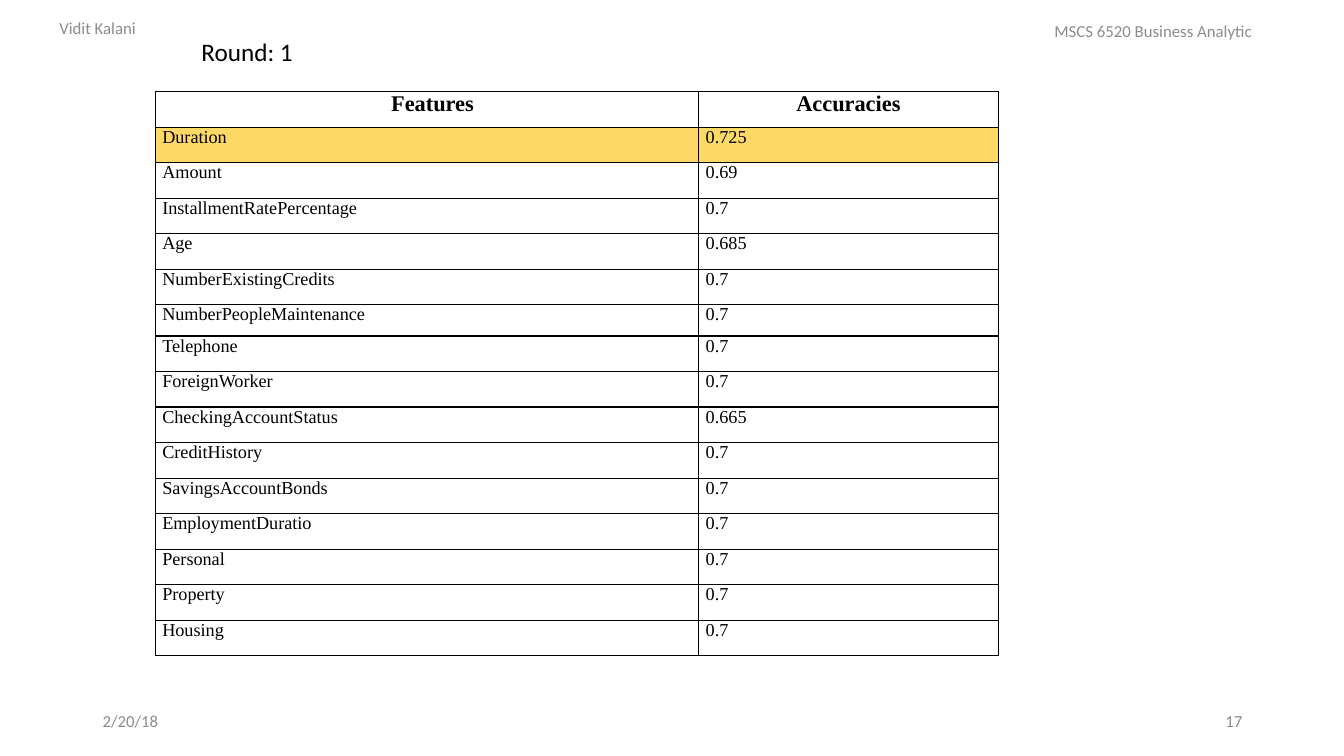
import pptx
import pptx.util
import pptx.dml.color
import pptx.enum.text
import pptx.oxml
import pptx.oxml.ns

Inches = pptx.util.Inches
Pt = pptx.util.Pt
ALIGN = pptx.enum.text.PP_ALIGN
ANCHOR = pptx.enum.text.MSO_ANCHOR
BLACK = pptx.dml.color.RGBColor(0x00, 0x00, 0x00)
GREY = pptx.dml.color.RGBColor(0x8C, 0x8C, 0x8C)
GOLD = pptx.dml.color.RGBColor(0xFF, 0xD9, 0x66)

deck = pptx.Presentation()
deck.slide_width = Inches(13.33)
deck.slide_height = Inches(7.5)
page = deck.slides.add_slide(deck.slide_layouts[6])


def write(para, text, align, **formats):
    para.alignment = align
    span = para.add_run()
    span.text = text
    color = formats.pop("color")
    for name, value in formats.items():
        setattr(span.font, name, value)
    span.font.color.rgb = color


def outline(cell):
    properties = cell._tc.get_or_add_tcPr()
    for position, side in enumerate(("lnL", "lnR", "lnT", "lnB")):
        properties.insert(position, pptx.oxml.parse_xml(
            f'<a:{side} {pptx.oxml.ns.nsdecls("a")} w="{Pt(1)}">'
            f'<a:solidFill><a:srgbClr val="{BLACK}"/></a:solidFill></a:{side}>'))


accuracies = [
    ("Features", "Accuracies"),
    ("Duration", "0.725"),
    ("Amount", "0.69"),
    ("InstallmentRatePercentage", "0.7"),
    ("Age", "0.685"),
    ("NumberExistingCredits", "0.7"),
    ("NumberPeopleMaintenance", "0.7"),
    ("Telephone", "0.7"),
    ("ForeignWorker", "0.7"),
    ("CheckingAccountStatus", "0.665"),
    ("CreditHistory", "0.7"),
    ("SavingsAccountBonds", "0.7"),
    ("EmploymentDuratio", "0.7"),
    ("Personal", "0.7"),
    ("Property", "0.7"),
    ("Housing", "0.7"),
]
HEADER, BEST = 0, 1
SHORT_ROW, SHORT_HEIGHT = 6, 0.31
TABLE_HEIGHT = 5.6
row_height = (TABLE_HEIGHT - SHORT_HEIGHT) / (len(accuracies) - 1)

table = page.shapes.add_table(
    len(accuracies), 2, Inches(1.54), Inches(0.91), Inches(8.36), Inches(TABLE_HEIGHT)).table
table.horz_banding = False
for column, width in zip(table.columns, (5.39, 2.97)):
    column.width = Inches(width)

for index, values in enumerate(accuracies):
    table.rows[index].height = Inches(SHORT_HEIGHT if index == SHORT_ROW else row_height)
    header = index == HEADER
    for cell, value in zip(table.rows[index].cells, values):
        margins = {"margin_left": 0.07, "margin_right": 0.07, "margin_top": 0, "margin_bottom": 0}
        for name, margin in margins.items():
            setattr(cell, name, Inches(margin))
        if index == BEST:
            cell.fill.solid()
            cell.fill.fore_color.rgb = GOLD
        else:
            cell.fill.background()
        outline(cell)
        para = cell.text_frame.paragraphs[0]
        para.space_after = Pt(1.1)
        write(para, value, ALIGN.CENTER if header else ALIGN.LEFT, name="Times New Roman",
              size=Pt(16 if header else 13), bold=header, color=BLACK)
table.cell(HEADER, 0).text_frame.paragraphs[0]._p.get_or_add_pPr().set("marL", str(Inches(0.11)))

labels = [
    ("Round: 1", 1.9, 0.31, 8.9, 18, BLACK, ALIGN.LEFT, ANCHOR.TOP),
    ("2/20/18", 0.92, 6.95, 3, 12, GREY, ALIGN.LEFT, ANCHOR.MIDDLE),
    ("17", 9.42, 6.95, 3, 12, GREY, ALIGN.RIGHT, ANCHOR.MIDDLE),
    ("Vidit Kalani", 0.49, 0.08, 3, 12, GREY, ALIGN.LEFT, ANCHOR.MIDDLE),
    ("MSCS 6520 Business Analytic", 10.36, 0.11, 2.97, 12, GREY, ALIGN.LEFT, ANCHOR.MIDDLE),
]
for text, left, top, width, size, color, align, anchor in labels:
    box = page.shapes.add_textbox(Inches(left), Inches(top), Inches(width), Inches(0.4))
    box.text_frame.word_wrap = True
    box.text_frame.vertical_anchor = anchor
    write(box.text_frame.paragraphs[0], text, align, name="Calibri", size=Pt(size), color=color)

deck.save("out.pptx")
